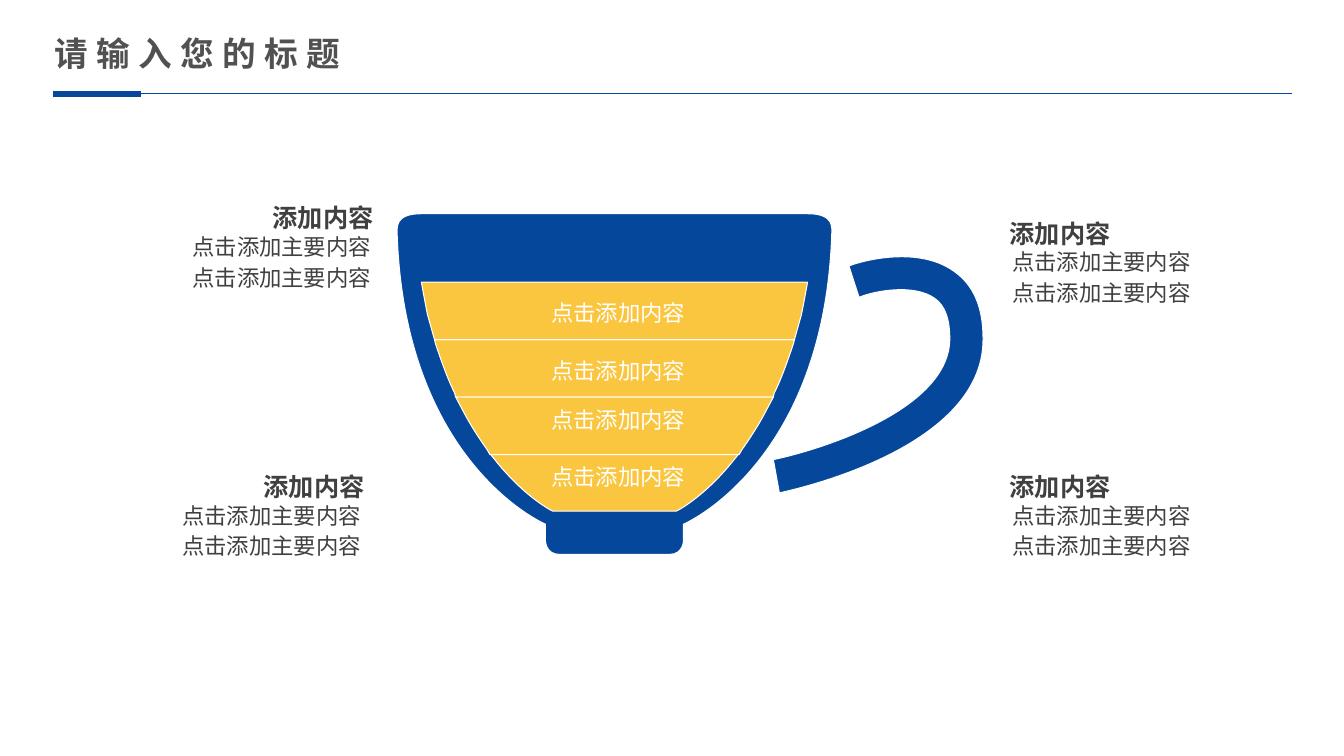
"""Build a slide with a layered cup diagram and four captions."""
from lxml import etree
from pptx import Presentation
from pptx.dml.color import RGBColor
from pptx.enum import shapes, text
from pptx.oxml.ns import qn
from pptx.util import Inches, Pt

BLUE = RGBColor(0x05, 0x48, 0x9B)
YELLOW = RGBColor(0xFB, 0xC6, 0x3F)
WHITE = RGBColor(0xFF, 0xFF, 0xFF)
DARK = RGBColor(0x40, 0x40, 0x40)
GREY = RGBColor(0x51, 0x51, 0x51)
FONT = "Noto Sans CJK SC"
MIRROR = 12.19

deck = Presentation()
deck.slide_width, deck.slide_height = Inches(13.33), Inches(7.5)
page = deck.slides.add_slide(deck.slide_layouts[6])


def add_text(area, lines, look, align=text.PP_ALIGN.LEFT, leading=None, wrap=True, tracking=0):
    box = page.shapes.add_textbox(*map(Inches, area))
    box.text_frame.word_wrap = wrap
    box.text_frame.auto_size = text.MSO_AUTO_SIZE.SHAPE_TO_FIT_TEXT
    for index, line in enumerate(lines):
        para = box.text_frame.paragraphs[0] if index == 0 else box.text_frame.add_paragraph()
        para.alignment, para.line_spacing = align, leading
        span = para.add_run()
        span.text = line
        span.font.name = FONT
        span.font.color.rgb = look["color"]
        for name in ("size", "bold"):
            setattr(span.font, name, look.get(name))
        props = span.font._element
        etree.SubElement(props, qn("a:ea")).set("typeface", FONT)
        if tracking:
            props.set("spc", str(tracking))


def add_outline(start, segments, fill, mirrored=True):
    nodes = [start] + [node for segment in segments for node in segment]
    lengths = [len(segment) for segment in segments]
    if mirrored:
        nodes += [(MIRROR - x, y) for x, y in reversed(nodes)]
        lengths += [1] + lengths[::-1]
    nodes = [(Inches(x), Inches(y)) for x, y in nodes]
    builder = page.shapes.build_freeform(*nodes[0])
    builder.add_line_segments(nodes[1:], close=True)
    shape = builder.convert_to_shape()
    lines = iter(list(shape._element.iter(qn("a:lnTo"))))
    for length in lengths:
        controls = [next(lines) for _ in range(length)]
        if length == 3:
            curve = etree.Element(qn("a:cubicBezTo"))
            controls[0].addprevious(curve)
            for control in controls:
                curve.append(control[0])
                control.getparent().remove(control)
    shape.shadow.inherit = False
    shape.fill.solid()
    shape.fill.fore_color.rgb = fill
    shape.line.color.rgb = WHITE
    shape.line.width = Pt(0.75)


caption_look = {"size": Pt(16), "color": DARK}
heading_look = {"size": Pt(18), "color": DARK, "bold": True}
for heading_left, body_left, top in [(2.42, 1.73, 1.92), (2.33, 1.63, 4.58), (9.73, 9.86, 2.07), (9.73, 9.86, 4.58)]:
    add_text((body_left, top + 0.31, 2.13, 0.71), ["点击添加主要内容"] * 2, caption_look,
             text.PP_ALIGN.CENTER, 1.14)
    add_text((heading_left, top, 1.57, 0.42), ["添加内容"], heading_look, text.PP_ALIGN.CENTER, 1.14)

handle = [
    [(7.67, 4.56)],
    [(8.15, 4.46), (9.42, 4.06), (9.42, 3.36)],
    [(9.42, 3.16), (9.37, 3.03), (9.27, 2.96)],
    [(9.06, 2.81), (8.66, 2.89), (8.52, 2.95)],
    [(8.42, 2.64)],
    [(8.48, 2.61), (9.08, 2.42), (9.46, 2.69)],
    [(9.66, 2.83), (9.75, 3.05), (9.75, 3.36)],
    [(9.76, 4.47), (7.81, 4.87), (7.73, 4.89)],
]
add_outline((7.73, 4.89), handle, BLUE, mirrored=False)

cup_side = [
    [(8.28, 2.12), (8.25, 2.26), (8.25, 2.33)],
    [(8.17, 4.61), (6.78, 5.2), (6.78, 5.2)],
    [(6.78, 5.36)],
    [(6.78, 5.36), (6.78, 5.5), (6.64, 5.5)],
]
add_outline((8.01, 2.12), cup_side, BLUE)

layers = [
    ((7.33, 4.5), [[(7.25, 4.6)], [(6.96, 4.95), (6.71, 5.07), (6.71, 5.07)]]),
    ((7.88, 3.37), [[(7.87, 3.41)], [(7.81, 3.59), (7.75, 3.76), (7.68, 3.9)], [(7.67, 3.94)]]),
    ((8.01, 2.8), [[(7.99, 2.91), (7.97, 3.02), (7.95, 3.12)], [(7.88, 3.37)]]),
    ((7.67, 3.94), [[(7.58, 4.11)], [(7.51, 4.24), (7.43, 4.36), (7.36, 4.46)], [(7.33, 4.51)]]),
]
for start, side in layers:
    add_outline(start, side, YELLOW)

for label_top in (2.92, 3.49, 3.98, 4.55):
    add_text((5.37, label_top, 1.53, 0.37), ["点击添加内容"], {"size": Pt(16), "color": WHITE}, wrap=False)

for left, right, width in [(0.53, 1.4, 4.5), (1.4, 12.81, 0.5)]:
    rule = page.shapes.add_connector(shapes.MSO_CONNECTOR.STRAIGHT, *map(Inches, (left, 0.93, right, 0.93)))
    rule.line.color.rgb = BLUE
    rule.line.width = Pt(width)
    etree.SubElement(rule._element.spPr, qn("a:effectLst"))

add_text((0.44, 0.28, 3.5, 0.5), ["请输入您的标题"], {"size": Pt(24), "color": GREY, "bold": True}, tracking=600)

deck.save("out.pptx")
